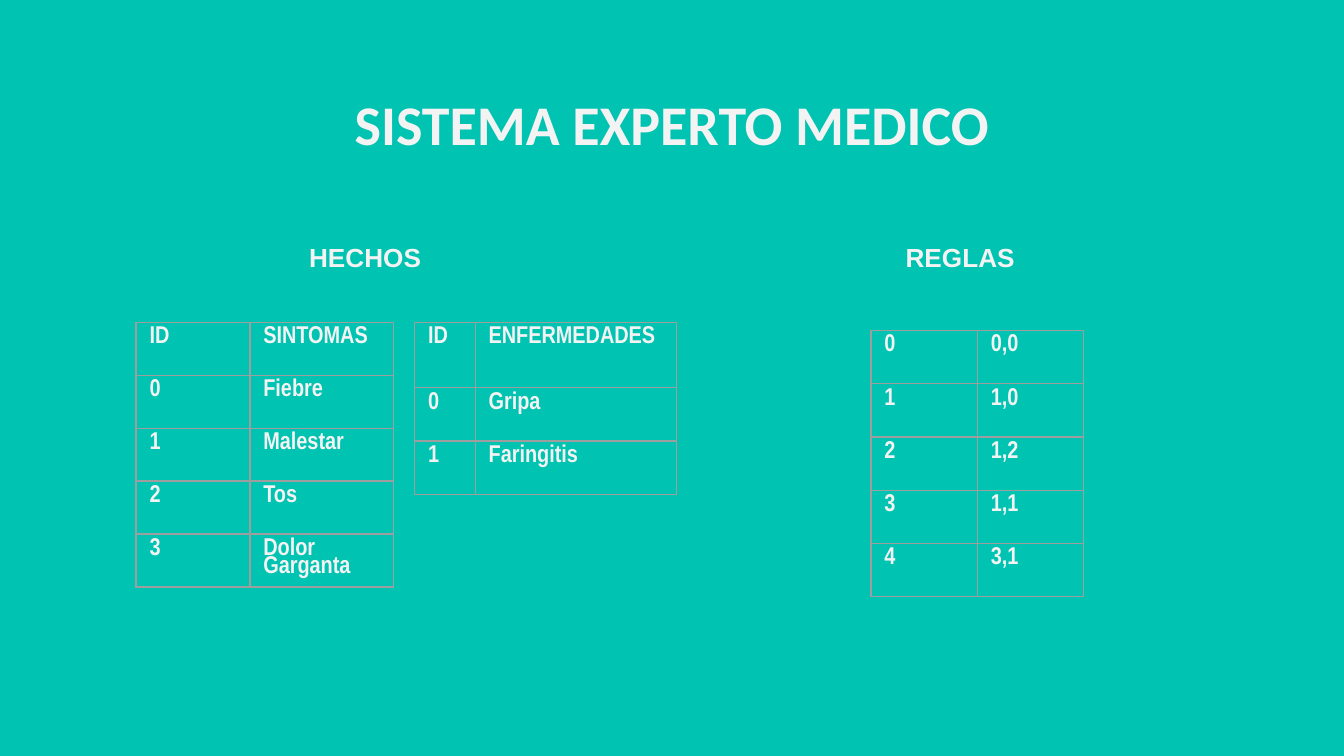
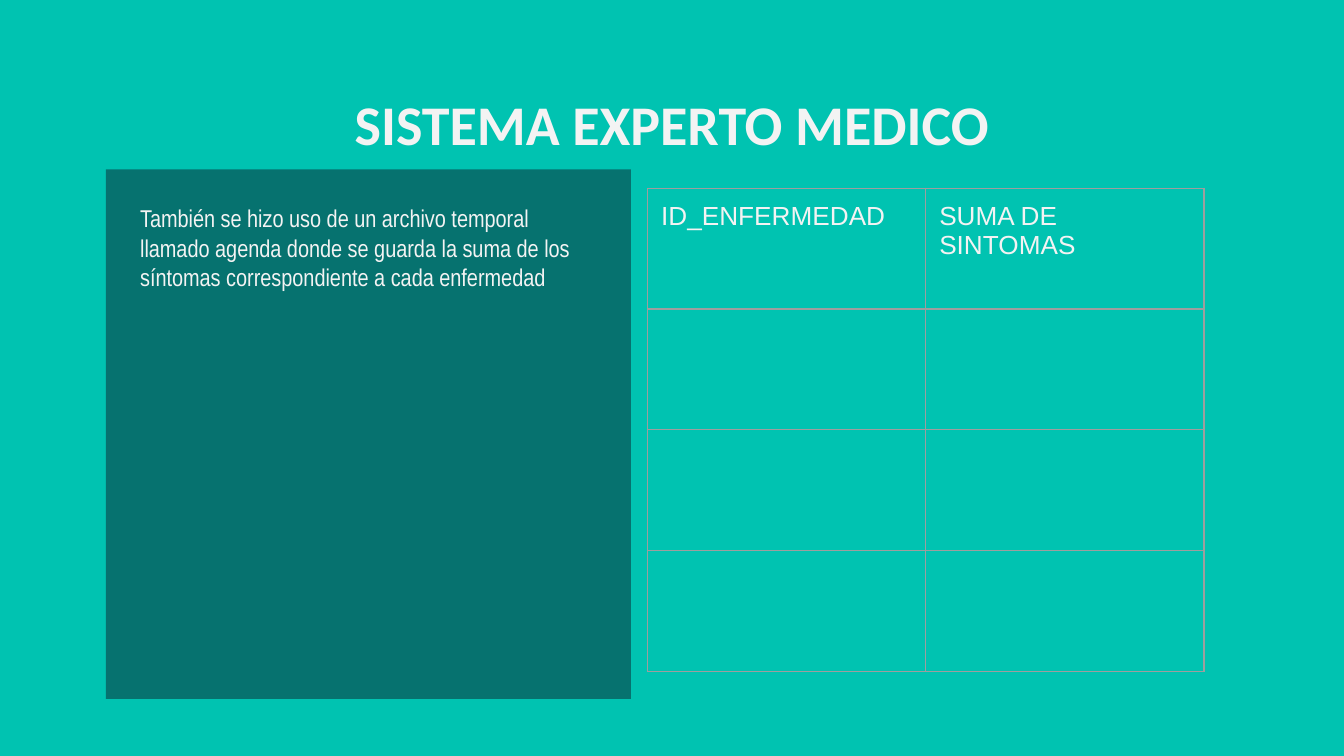
"""Build two slides on the facts and rules of a medical expert system."""
from dataclasses import dataclass

from lxml.etree import SubElement
from pptx import Presentation
from pptx.dml.color import RGBColor as RGB
from pptx.enum.shapes import MSO_SHAPE as Shape
from pptx.enum.text import MSO_ANCHOR as Anchor, MSO_AUTO_SIZE as Fit, PP_ALIGN as Align
from pptx.oxml import parse_xml
from pptx.oxml.ns import nsdecls, qn
from pptx.util import Pt


@dataclass(frozen=True)
class Theme:
    back: str = "00C3B1"
    ink: str = "F3F3F3"
    panel: str = "0C343D"
    rule: str = "9E9E9E"
    head: tuple = ("Calibri", 30, True)
    label: tuple = ("Arial", 14, True)
    plain: tuple = ("Arial", 14, False)
    dense: tuple = ("Arial Narrow", 13, True)
    note: tuple = ("Arial Narrow", 13, False)


class Deck:
    def __init__(self, theme):
        self.theme = theme
        self.prs = Presentation()
        self.prs.slide_width, self.prs.slide_height = Pt(720), Pt(405)

    def page(self, title):
        self.slide = self.prs.slides.add_slide(self.prs.slide_layouts[5])
        fill = self.slide.background.fill
        fill.solid()
        fill.fore_color.rgb = RGB.from_string(self.theme.back)
        box = self.slide.shapes.title
        box.left, box.top, box.width, box.height = Pt(56.7), Pt(40.5), Pt(606.6), Pt(45)
        self.put(box.text_frame, title, self.theme.head, (7.2,) * 4, Align.CENTER)

    def put(self, frame, text, style, pads, align=Align.LEFT):
        frame.text = text
        frame.word_wrap = True
        frame.auto_size = Fit.NONE
        frame.vertical_anchor = Anchor.TOP
        (frame.margin_left, frame.margin_top,
         frame.margin_right, frame.margin_bottom) = map(Pt, pads)
        self.style(frame, style, align)

    def style(self, frame, style, align=Align.LEFT):
        name, size, bold = style
        for para in frame.paragraphs:
            para.alignment = align
            for run in para.runs:
                font = run.font
                font.name, font.size, font.bold = name, Pt(size), bold
                font.color.rgb = RGB.from_string(self.theme.ink)

    def label(self, text, left, top):
        box = self.slide.shapes.add_textbox(Pt(left), Pt(top), Pt(90.7), Pt(24.5))
        self.put(box.text_frame, text, self.theme.label, (7.2, 3.6) * 2)

    def panel(self, text, left, top, width, height):
        box = self.slide.shapes.add_shape(
            Shape.RECTANGLE, Pt(left), Pt(top), Pt(width), Pt(height))
        box.shadow.inherit = False
        box.line.fill.background()
        box.fill.solid()
        box.fill.fore_color.rgb = RGB.from_string(self.theme.panel)
        tint = box.element.spPr.find(qn("a:solidFill"))[0]
        SubElement(tint, qn("a:alpha")).set("val", "56000")
        self.put(box.text_frame, text, self.theme.note, (18.4, 18.4, 18.4, 7.2))
        para = box.text_frame.paragraphs[0]
        para.space_before = para.space_after = Pt(16)

    def table(self, rows, left, top, cols, highs, style, pad=3.6, gap=1.0):
        grid = self.slide.shapes.add_table(
            len(rows), len(cols), Pt(left), Pt(top), Pt(sum(cols)), Pt(sum(highs))).table
        grid.first_row = grid.horz_banding = False
        for col, width in zip(grid.columns, cols):
            col.width = Pt(width)
        for row, high, texts in zip(grid.rows, highs, rows):
            row.height = Pt(high)
            for cell, text in zip(row.cells, texts):
                cell.text = text
                cell.margin_left = cell.margin_right = Pt(7.2)
                cell.margin_top = cell.margin_bottom = Pt(pad)
                cell.vertical_anchor = Anchor.TOP
                cell.text_frame.paragraphs[0].line_spacing = gap
                self.style(cell.text_frame, style)
                cell.fill.background()
                self.edge(cell)

    def edge(self, cell):
        props = cell._tc.get_or_add_tcPr()
        for spot, side in enumerate("LRTB"):
            props.insert(spot, parse_xml(
                f'<a:ln{side} {nsdecls("a")} w="{Pt(0.75)}"><a:solidFill>'
                f'<a:srgbClr val="{self.theme.rule}"/></a:solidFill></a:ln{side}>'))


def main():
    theme = Theme()
    deck = Deck(theme)
    title = "SISTEMA EXPERTO MEDICO"

    deck.page(title)
    signs = [("ID", "SINTOMAS"), ("0", "Fiebre"), ("1", "Malestar"),
             ("2", "Tos"), ("3", "Dolor Garganta")]
    ills = [("ID", "ENFERMEDADES"), ("0", "Gripa"), ("1", "Faringitis")]
    rules = [("0", "0,0"), ("1", "1,0"), ("2", "1,2"), ("3", "1,1"), ("4", "3,1")]
    deck.table(signs, 72.9, 172.6, (61, 77), [28.4] * 5, theme.dense, gap=0.8)
    deck.table(ills, 222.2, 172.6, (32.4, 108), [35.2, 28.5, 28.5], theme.dense, gap=0.8)
    deck.label("HECHOS", 158.5, 126)
    deck.label("REGLAS", 478.1, 126)
    deck.table(rules, 466.6, 177.1, (57, 57), [28.5] * 5, theme.dense, gap=0.8)

    deck.page(title)
    deck.panel("También se hizo uso de un archivo temporal llamado agenda donde se guarda "
               "la suma de los síntomas correspondiente a cada enfermedad",
               56.7, 90.7, 281.3, 283.8)
    sums = [("ID_ENFERMEDAD", "SUMA DE SINTOMAS")] + [("", "")] * 3
    deck.table(sums, 347, 100.8, (149, 149), [64.7] * 4, theme.plain, pad=7.2)

    deck.prs.save("out.pptx")


if __name__ == "__main__":
    main()
